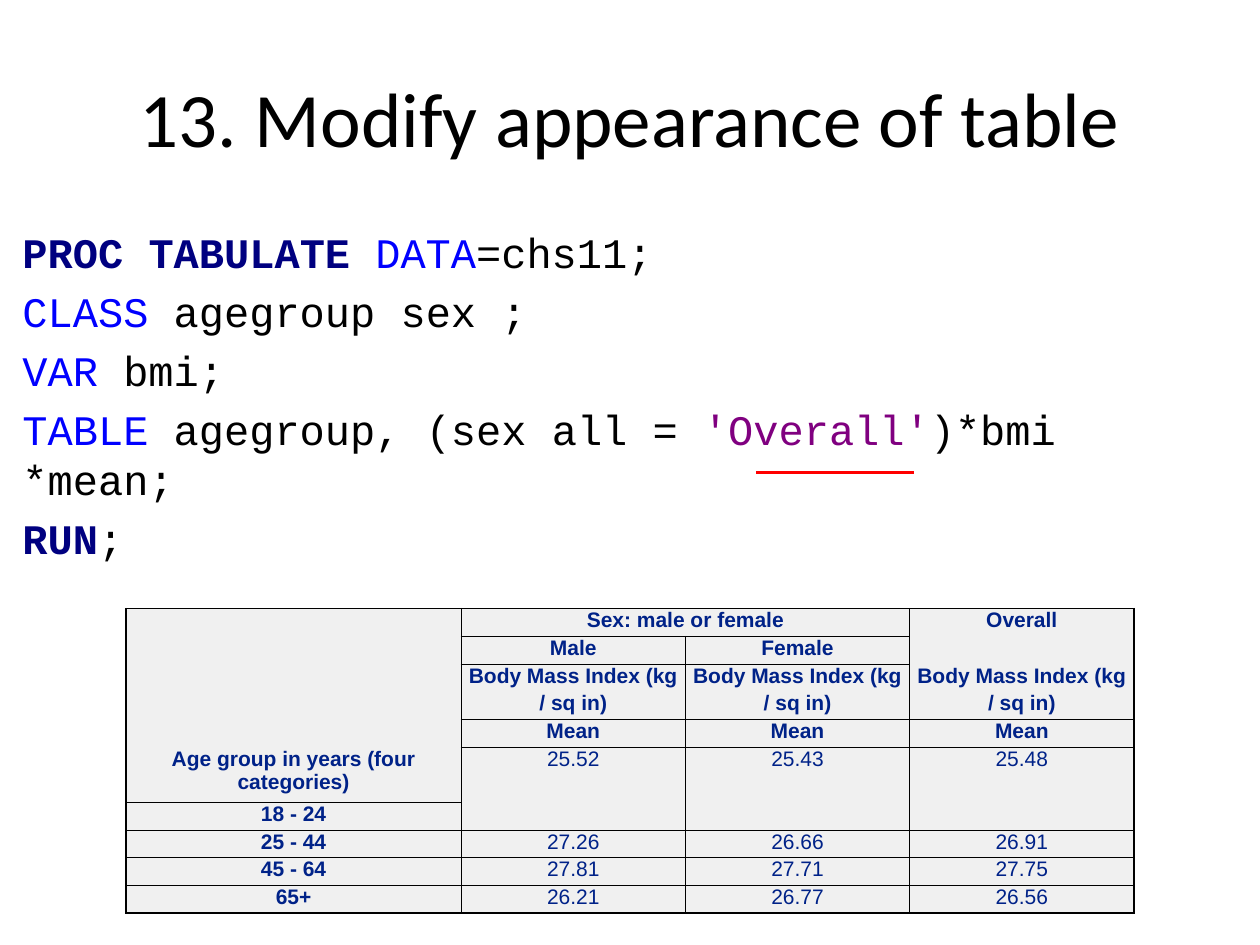
from lxml import etree
from pptx import Presentation
from pptx.dml.color import RGBColor
from pptx.enum import shapes, text
from pptx.oxml import ns
from pptx.util import Inches, Pt

TITLE = "13. Modify appearance of table"
NAVY, BLUE, BLACK, PURPLE = "000080", "0000FF", "000000", "800080"
CODE = [
    [("PROC TABULATE ", NAVY), ("DATA", BLUE), ("=chs11;", BLACK)],
    [("CLASS", BLUE), (" agegroup sex ;", BLACK)],
    [("VAR", BLUE), (" bmi;", BLACK)],
    [("TABLE", BLUE), (" agegroup, (sex all = ", BLACK), ("'Overall'", PURPLE),
     (")*bmi *mean;", BLACK)],
    [("RUN", NAVY), (";", BLACK)],
]
ROWS = [
    ["", "Sex: male or female", "", "Overall"],
    ["", "Male", "Female", ""],
    [""] + ["Body Mass Index (kg"] * 3,
    [""] + ["/ sq in)"] * 3,
    [""] + ["Mean"] * 3,
    ["Age group in years (four categories)", "25.52", "25.43", "25.48"],
    ["18 - 24", "", "", ""],
    ["25 - 44", "27.26", "26.66", "26.91"],
    ["45 - 64", "27.81", "27.71", "27.75"],
    ["65+", "26.21", "26.77", "26.56"],
]
MERGES = [(0, 0, 4, 0), (0, 1, 0, 2), (0, 3, 1, 3),
          (5, 1, 6, 1), (5, 2, 6, 2), (5, 3, 6, 3)]
COL_WIDTHS = [2.66, 1.78, 1.78, 1.78]
ROW_HEIGHT = 0.22
HEADER_ROWS, TALL_ROW = 5, 5
SPLIT_LABEL = {2, 3}
SIDES = {"L": (0, -1), "R": (0, 1), "T": (-1, 0), "B": (1, 0)}


def rgb(value):
    return RGBColor.from_string(value)


def style(font, name, size, color=None, bold=False):
    font.name, font.size, font.bold = name, Pt(size), bold
    if color:
        font.color.rgb = rgb(color)


def text_box(s, left, top, width, height):
    tf = s.shapes.add_textbox(*map(Inches, (left, top, width, height))).text_frame
    tf.word_wrap = True
    return tf


def border(cell, side, width):
    ln = etree.SubElement(cell._tc.get_or_add_tcPr(), ns.qn("a:ln" + side))
    if width:
        ln.set("w", str(Pt(width)))
        fill = etree.SubElement(ln, ns.qn("a:solidFill"))
        etree.SubElement(fill, ns.qn("a:srgbClr")).set("val", BLACK)
    else:
        etree.SubElement(ln, ns.qn("a:noFill"))


prs = Presentation()
prs.slide_width, prs.slide_height = Inches(10), Inches(7.5)
s = prs.slides.add_slide(prs.slide_layouts[6])

tf = text_box(s, 0.5, 0.3, 9, 1.25)
tf.vertical_anchor = text.MSO_ANCHOR.MIDDLE
p = tf.paragraphs[0]
p.text, p.alignment = TITLE, text.PP_ALIGN.CENTER
style(p.font, "Calibri", 44, BLACK)

tf = text_box(s, 0.08, 1.75, 9.75, 4.95)
for i, line in enumerate(CODE):
    p = tf.add_paragraph() if i else tf.paragraphs[0]
    p.space_before = Pt(4.8)
    for words, color in line:
        r = p.add_run()
        r.text = words
        style(r.font, "Courier New", 24, color, color == NAVY)

n_rows, n_cols = len(ROWS), len(COL_WIDTHS)
table = s.shapes.add_table(n_rows, n_cols, Inches(1), Inches(4.83), Inches(8),
                           Inches(ROW_HEIGHT * (n_rows + 1))).table
table.first_row = table.horz_banding = False
for col, width in zip(table.columns, COL_WIDTHS):
    col.width = Inches(width)
for i, row in enumerate(table.rows):
    row.height = Inches(ROW_HEIGHT * (2 if i == TALL_ROW else 1))

owner = {(i, j): (i, j) for i in range(n_rows) for j in range(n_cols)}
for top, left, bottom, right in MERGES:
    table.cell(top, left).merge(table.cell(bottom, right))
    for i in range(top, bottom + 1):
        for j in range(left, right + 1):
            owner[i, j] = (top, left)

for i, j in owner:
    cell = table.cell(i, j)
    cell.margin_left = cell.margin_right = cell.margin_top = cell.margin_bottom = 0
    for side, (di, dj) in SIDES.items():
        near = owner.get((i + di, j + dj))
        joined = near == owner[i, j] or (j and {i, i + di} == SPLIT_LABEL)
        border(cell, side, 1 if near is None else 0 if joined else 0.5)
    cell.fill.solid()
    cell.fill.fore_color.rgb = rgb("F0F0F0")
    p = cell.text_frame.paragraphs[0]
    p.text, p.alignment = ROWS[i][j], text.PP_ALIGN.CENTER
    style(p.font, "Arial", 12, "002288", j == 0 or i < HEADER_ROWS)

underline = s.shapes.add_connector(shapes.MSO_CONNECTOR.STRAIGHT, Inches(6),
                                   Inches(3.75), Inches(7.25), Inches(3.75))
underline.line.color.rgb = rgb("FF0000")
underline.line.width = Pt(2)
etree.SubElement(underline._element.spPr, ns.qn("a:effectLst"))

prs.save("out.pptx")
